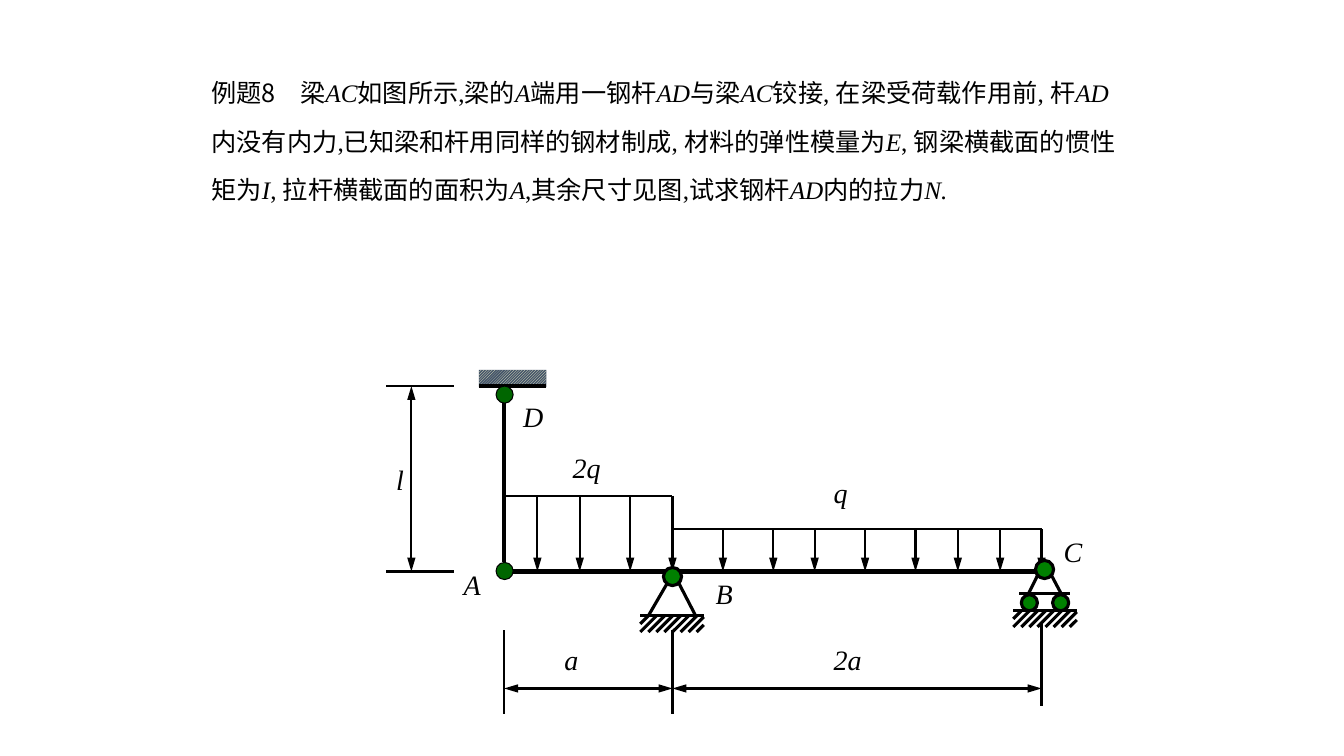
from pptx import Presentation
from pptx import util as u
from pptx.dml.color import RGBColor
from pptx.enum import dml, shapes, text
from pptx.oxml import ns, xmlchemy as xml

PX = 9144  # one hundredth of an inch
INK = "000000"
SERIF = "Times New Roman"
HAN = "Noto Sans CJK SC"
rgb = RGBColor.from_string

deck = Presentation()
deck.slide_width, deck.slide_height = 1333 * PX, 750 * PX
slide = deck.slides.add_slide(deck.slide_layouts[6])


def write(words, x, y, w, h=43, size=20, space=None, tab=None):
    """Add a text box; pieces between asterisks are italic."""
    box = slide.shapes.add_textbox(x * PX, y * PX, w * PX, h * PX)
    frame = box.text_frame
    frame.word_wrap = True
    frame.auto_size = text.MSO_AUTO_SIZE.NONE
    par = frame.paragraphs[0]
    if space:
        par.line_spacing = space
    if tab:
        stops = xml.OxmlElement("a:tabLst")
        stop = xml.OxmlElement("a:tab")
        stop.set("pos", str(tab * PX))
        stop.set("algn", "l")
        stops.append(stop)
        par._p.get_or_add_pPr().append(stops)
    for i, part in enumerate(words.split("*")):
        if not part:
            continue
        run = par.add_run()
        run.text = part
        font = run.font
        font.size = u.Pt(size)
        font.italic = i % 2 == 1
        font.color.rgb = rgb(INK)
        font.name = HAN if "\t" in part else SERIF
        east = xml.OxmlElement("a:ea")
        east.set("typeface", HAN)
        run._r.get_or_add_rPr().append(east)


def line(x1, y1, x2, y2, width=1.5, ends=()):
    """Draw a line; ends may hold headEnd and tailEnd."""
    wire = slide.shapes.add_connector(
        shapes.MSO_CONNECTOR.STRAIGHT, x1 * PX, y1 * PX, x2 * PX, y2 * PX)
    wire.line.color.rgb = rgb(INK)
    wire.line.width = u.Pt(width)
    props = wire._element.spPr
    for end in ends:
        tip = xml.OxmlElement("a:" + end)
        tip.set("type", "triangle")
        tip.set("w", "med")
        tip.set("len", "lg")
        props.find(ns.qn("a:ln")).append(tip)
    props.append(xml.OxmlElement("a:effectLst"))


write("例题8\t梁*AC*如图所示,梁的*A*端用一钢杆*AD*与梁*AC*铰接, 在梁受荷载作用前, "
      "杆*AD*内没有内力,已知梁和杆用同样的钢材制成, 材料的弹性模量为*E*, "
      "钢梁横截面的惯性矩为*I*, 拉杆横截面的面积为*A*,其余尺寸见图,"
      "试求钢杆*AD*内的拉力*N.*",
      200, 54, 917, 150, size=18, space=1.6, tab=88)

# Beam and rod
line(500, 567, 1042, 567, 3)
line(500, 400, 500, 558, 3)

# Distributed loads
loads = [(500, 667, 492, (533, 575, 625, 667)),
         (667, 1033, 525, (717, 767, 808, 858, 908, 950, 992, 1033))]
for left, right, top, spots in loads:
    line(left, top, right, top)
    for x in spots:
        line(x, top, x, 567, ends=["tailEnd"])

# Dimensions
both = ["headEnd", "tailEnd"]
for x, top in [(500, 625), (667, 625), (1033, 617)]:
    line(x, top, x, top + 83)
line(500, 683, 667, 683, ends=both)
line(667, 683, 1033, 683, ends=both)
for y in (383, 567):
    line(383, y, 450, y)
line(408, 383, 408, 567, ends=both)

# Ceiling
wall = slide.shapes.add_shape(
    shapes.MSO_SHAPE.RECTANGLE, 475 * PX, 367 * PX, 67 * PX, 17 * PX)
wall.shadow.inherit = False
wall.line.fill.background()
wall.fill.patterned()
wall.fill.pattern = dml.MSO_PATTERN.DARK_UPWARD_DIAGONAL
wall.fill.fore_color.rgb = rgb("FFFFCC")
wall.fill.back_color.rgb = rgb("44546A")
line(475, 383, 542, 383, 2.25)

# Supports: legs, then hatched ground
for leg in [(673, 578, 690, 611), (661, 580, 643, 611),
            (1029, 571, 1020, 589), (1043, 571, 1052, 588),
            (1011, 589, 1061, 589)]:
    line(*leg, 2.25)
for left, top in [(635, 611), (1005, 606)]:
    right = left + 63
    line(left, top, right, top, 2.25)
    for x in range(left + 8, left + 73, 8):
        x1, x2 = min(x, right), max(x - 16, left)
        line(x1, top + x - x1, x2, top + x - x2, 2.25)

# Hinges and rollers
for x, y, size, fill, edge in [(492, 558, 17, "006600", 0.75),
                               (492, 383, 17, "006600", 0.75),
                               (658, 563, 18, "008000", 2.25),
                               (1044, 590, 16, "008000", 2.25),
                               (1013, 590, 16, "008000", 2.25),
                               (1027, 556, 18, "008000", 2.25)]:
    dot = slide.shapes.add_shape(
        shapes.MSO_SHAPE.OVAL, x * PX, y * PX, size * PX, size * PX)
    dot.shadow.inherit = False
    dot.fill.solid()
    dot.fill.fore_color.rgb = rgb(fill)
    dot.line.color.rgb = rgb(INK)
    dot.line.width = u.Pt(edge)

for name, x, y, w in [("a", 550, 633, 58), ("2a", 817, 633, 75),
                      ("A", 450, 558, 58), ("B", 700, 567, 67),
                      ("C", 1045, 525, 92), ("q", 817, 467, 67),
                      ("2q", 558, 442, 75), ("D", 509, 391, 50),
                      ("l", 383, 454, 79)]:
    write(f"*{name}*", x, y, w)

deck.save("out.pptx")
